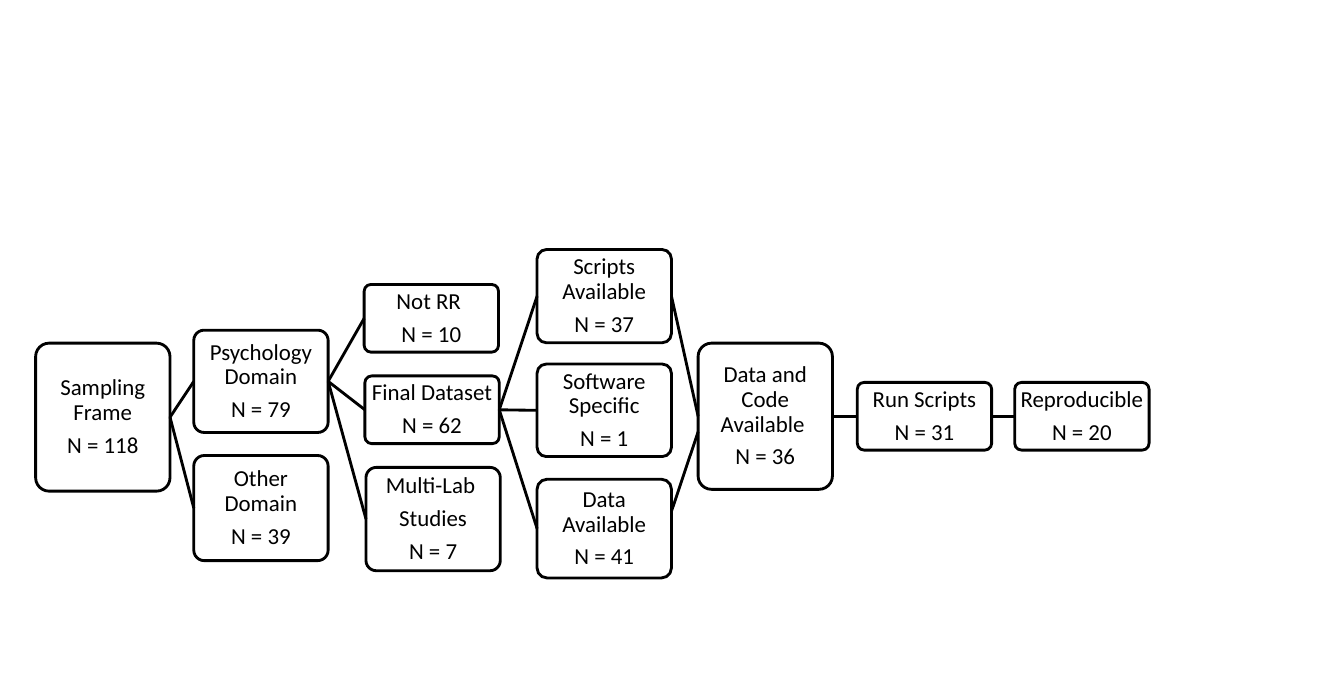
from pptx import Presentation
from pptx.dml.color import RGBColor
from pptx.enum.shapes import MSO_CONNECTOR as Link, MSO_SHAPE as Kind
from pptx.enum.text import MSO_ANCHOR as Anchor, PP_ALIGN as Align
from pptx.oxml.ns import qn
from pptx.util import Cm, Pt
from lxml.etree import SubElement

WIDE = 3.73
LEFT, RIGHT = 1, 3
INK, PAPER = "000000", "FFFFFF"

BOXES = {
    "frame": (0.99, 9.53, 4.11, ["Sampling Frame", "N = 118"]),
    "psych": (5.38, 9.17, 2.84, ["Psychology Domain", "N = 79"]),
    "other": (5.38, 12.65, 2.92, ["Other Domain", "N = 39"]),
    "not": (10.11, 7.9, 1.88, ["Not RR ", "N = 10"]),
    "final": (10.13, 10.44, 1.88, ["Final Dataset", "N = 62"]),
    "multi": (10.16, 12.98, 2.87, ["Multi-Lab ", "Studies", "N = 7"]),
    "scripts": (14.91, 6.93, 2.59, ["Scripts Available", "N = 37"]),
    "software": (14.91, 10.11, 2.57, ["Software Specific", "N = 1"]),
    "data": (14.91, 13.31, 2.74, ["Data Available", "N = 41"]),
    "both": (19.38, 9.53, 4.06, ["Data and Code Available ", "N = 36"]),
    "run": (23.8, 10.62, 1.88, ["Run Scripts", "N = 31"]),
    "result": (28.17, 10.62, 1.88, ["Reproducible", "N = 20"]),
}
LINKS = {
    "frame": ["psych", "other"],
    "psych": ["not", "final", "multi"],
    "final": ["scripts", "software", "data"],
    "scripts": ["both"],
    "both": ["run"],
    "run": ["result"],
}
JOIN = (18.64, 14.2, 19.38, 11.99)

FRAME = {
    "word_wrap": True,
    "vertical_anchor": Anchor.MIDDLE,
    "margin_left": Cm(0.03),
    "margin_right": Cm(0.03),
    "margin_top": Cm(0.03),
    "margin_bottom": Cm(0.03),
}
PARA = {"alignment": Align.CENTER, "line_spacing": 0.9, "space_after": Pt(6.3)}
FONT = {"name": "Calibri", "size": Pt(18)}


def style(item, values):
    for name, value in values.items():
        setattr(item, name, value)


def paint(color, code):
    color.rgb = RGBColor.from_string(code)


def stroke(line):
    line.width = Pt(2.25)
    line.fill.solid()
    paint(line.fill.fore_color, INK)


def add_box(slide, left, top, high, lines):
    box = slide.shapes.add_shape(
        Kind.ROUNDED_RECTANGLE, Cm(left), Cm(top), Cm(WIDE), Cm(high))
    box.adjustments[0] = 0.1
    box.shadow.inherit = False
    box.fill.solid()
    paint(box.fill.fore_color, PAPER)
    stroke(box.line)
    frame = box.text_frame
    style(frame, FRAME)
    frame.text = "\n".join(lines)
    for para in frame.paragraphs:
        style(para, PARA)
        for run in para.runs:
            style(run.font, FONT)
            paint(run.font.color, INK)
    return box


def add_link(slide, *ends):
    link = slide.shapes.add_connector(Link.STRAIGHT, *map(Cm, ends))
    stroke(link.line)
    SubElement(link._element.spPr, qn("a:effectLst"))
    return link


def main():
    deck = Presentation()
    style(deck, {"slide_width": Cm(37.31), "slide_height": Cm(19.05)})
    slide = deck.slides.add_slide(deck.slide_layouts[6])
    boxes = {name: add_box(slide, *box) for name, box in BOXES.items()}
    for start, ends in LINKS.items():
        for end in ends:
            link = add_link(slide, 0, 0, 0, 0)
            link.begin_connect(boxes[start], RIGHT)
            link.end_connect(boxes[end], LEFT)
    add_link(slide, *JOIN)
    deck.save("out.pptx")


if __name__ == "__main__":
    main()
